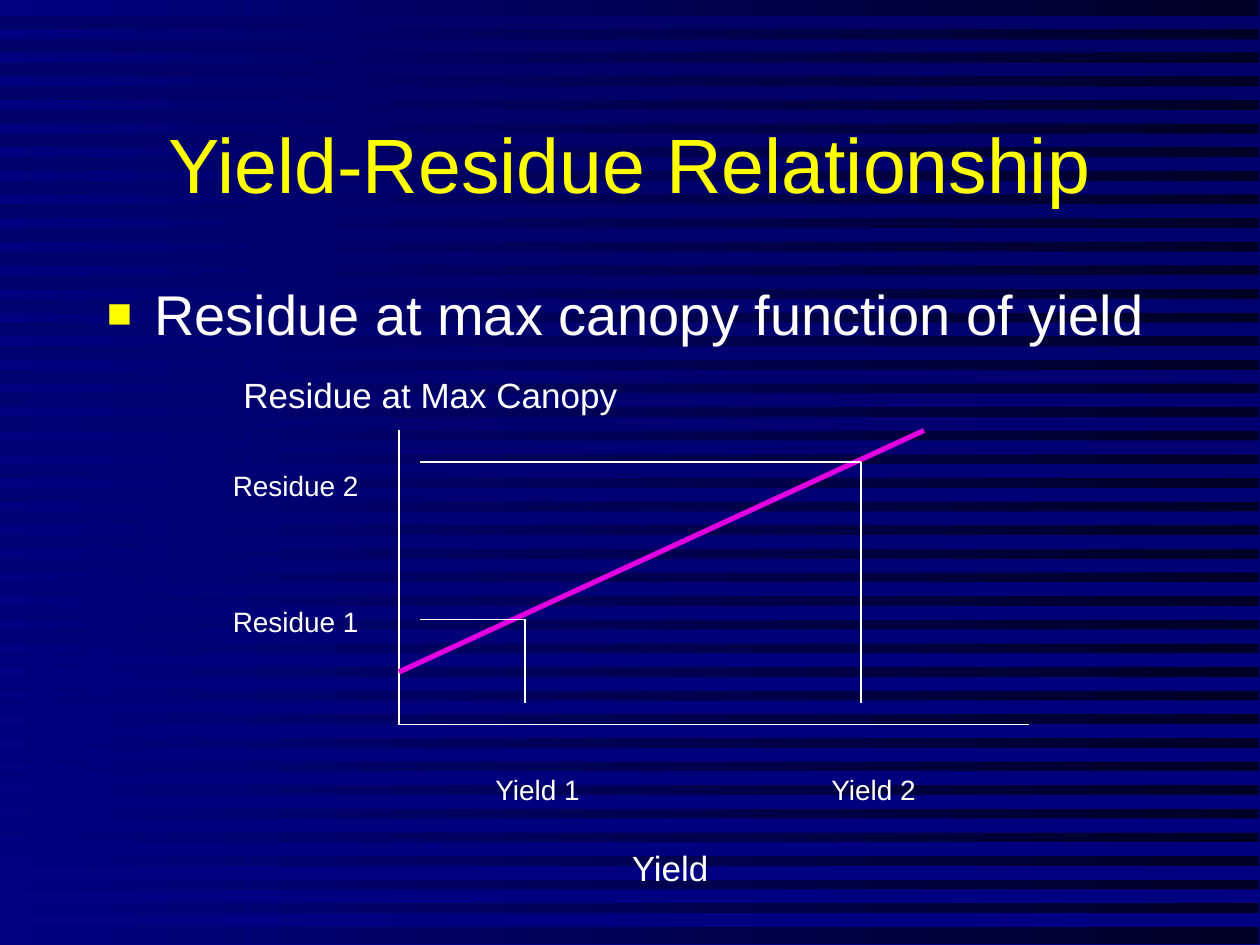
from lxml import etree
from pptx import Presentation
from pptx.dml.color import RGBColor
from pptx.enum.shapes import MSO_CONNECTOR, MSO_SHAPE
from pptx.enum.text import MSO_ANCHOR, MSO_AUTO_SIZE, PP_ALIGN
from pptx.oxml.ns import qn
from pptx.util import Pt

STRAIGHT = MSO_CONNECTOR.STRAIGHT
RECTANGLE = MSO_SHAPE.RECTANGLE
CENTER, LEFT = PP_ALIGN.CENTER, PP_ALIGN.LEFT
MIDDLE, TOP = MSO_ANCHOR.MIDDLE, MSO_ANCHOR.TOP
GROW, FIXED = MSO_AUTO_SIZE.SHAPE_TO_FIT_TEXT, MSO_AUTO_SIZE.NONE

COLORS = {
    "night": "000026",
    "navy": "000066",
    "blue": "000080",
    "yellow": "FFFF00",
    "white": "FFFFFF",
    "magenta": "E000E0",
}
WIDTH, HEIGHT = 720, 540
LEFTWARD, DOWNWARD = 180, 270


class SlideBuilder:
    font = "Arial"

    def __init__(self, page):
        self.page = page

    def gradient(self, fill, first, last, angle):
        """Fill from first to last; the angle runs counter-clockwise."""
        fill.gradient()
        fill.gradient_angle = angle
        for stop, color in zip(fill.gradient_stops, (first, last)):
            stop.color.rgb = RGBColor.from_string(COLORS[color])

    def panel(self, left, top, width, height, first, last, angle):
        panel = self.page.shapes.add_shape(
            RECTANGLE, Pt(left), Pt(top), Pt(width), Pt(height))
        self.finish(panel, first, last, angle)

    def stripes(self, top, height, pitch, count, first, last, angle):
        """Draw all stripes as one outline, so they share one gradient."""
        builder = self.page.shapes.build_freeform(0, Pt(top))
        for index in range(count):
            upper = top + index * pitch
            lower = upper + height
            if index:
                builder.move_to(0, Pt(upper))
            corners = [(WIDTH, upper), (WIDTH, lower), (0, lower)]
            builder.add_line_segments([(Pt(x), Pt(y)) for x, y in corners])
        self.finish(builder.convert_to_shape(), first, last, angle)

    def finish(self, shape, first, last, angle):
        shape.shadow.inherit = False
        shape.line.fill.background()
        self.gradient(shape.fill, first, last, angle)

    def line(self, start, end, color="white", weight=1):
        line = self.page.shapes.add_connector(
            STRAIGHT, Pt(start[0]), Pt(start[1]), Pt(end[0]), Pt(end[1]))
        line.line.color.rgb = RGBColor.from_string(COLORS[color])
        line.line.width = Pt(weight)
        etree.SubElement(line._element.spPr, qn("a:effectLst"))

    def text(self, words, left, top, width, height, size, color="white",
             align=LEFT, anchor=TOP, fit=GROW, bullet=None):
        box = self.page.shapes.add_textbox(
            Pt(left), Pt(top), Pt(width), Pt(height))
        frame = box.text_frame
        frame.word_wrap = True
        frame.auto_size = fit
        frame.vertical_anchor = anchor
        para = frame.paragraphs[0]
        para.alignment = align
        if bullet:
            self.bullet(para, bullet)
        span = para.add_run()
        span.text = words
        span.font.name = self.font
        span.font.size = Pt(size)
        span.font.color.rgb = RGBColor.from_string(COLORS[color])

    def bullet(self, para, color, indent=27):
        props = para._p.get_or_add_pPr()
        props.set("marL", str(Pt(indent)))
        props.set("indent", str(-Pt(indent)))
        tint = etree.SubElement(props, qn("a:buClr"))
        etree.SubElement(tint, qn("a:srgbClr"), val=COLORS[color])
        etree.SubElement(props, qn("a:buSzPct"), val="75000")
        etree.SubElement(props, qn("a:buFont"), typeface=self.font)
        etree.SubElement(props, qn("a:buChar"), char="■")


def main():
    deck = Presentation()
    deck.slide_width, deck.slide_height = Pt(WIDTH), Pt(HEIGHT)
    page = deck.slides.add_slide(deck.slide_layouts[6])
    builder = SlideBuilder(page)

    builder.gradient(page.background.fill, "navy", "blue", DOWNWARD)
    builder.panel(0, 0, 719.25, 539.25, "night", "blue", LEFTWARD)
    builder.stripes(9, 7.5, 13.5, 39, "navy", "blue", DOWNWARD)

    builder.text("Yield-Residue Relationship", 54, 48, 612, 90, 44, "yellow",
                 align=CENTER, anchor=MIDDLE, fit=FIXED)
    builder.text("Residue at max canopy function of yield",
                 54, 156, 612, 324, 32, fit=FIXED, bullet="yellow")

    origin = (228, 414)
    builder.line((228, 246), origin)
    builder.line(origin, (588, 414))
    builder.line((228, 384), (528, 246), "magenta", 3)
    for x, y in [(492, 264), (300, 354)]:
        builder.line((x, y), (x, 402))
        builder.line((x, y), (240, y))

    for words, left, top, width in [
        ("Yield 1", 276, 438, 72),
        ("Yield 2", 468, 438, 78),
        ("Residue 1", 126, 342, 102),
        ("Residue 2", 126, 264, 114),
    ]:
        builder.text(words, left, top, width, 26.5, 16)
    builder.text("Yield", 354, 480, 72, 31.5, 20)
    builder.text("Residue at Max Canopy", 132, 210, 263.5, 31.5, 20)

    deck.save("out.pptx")


if __name__ == "__main__":
    main()
